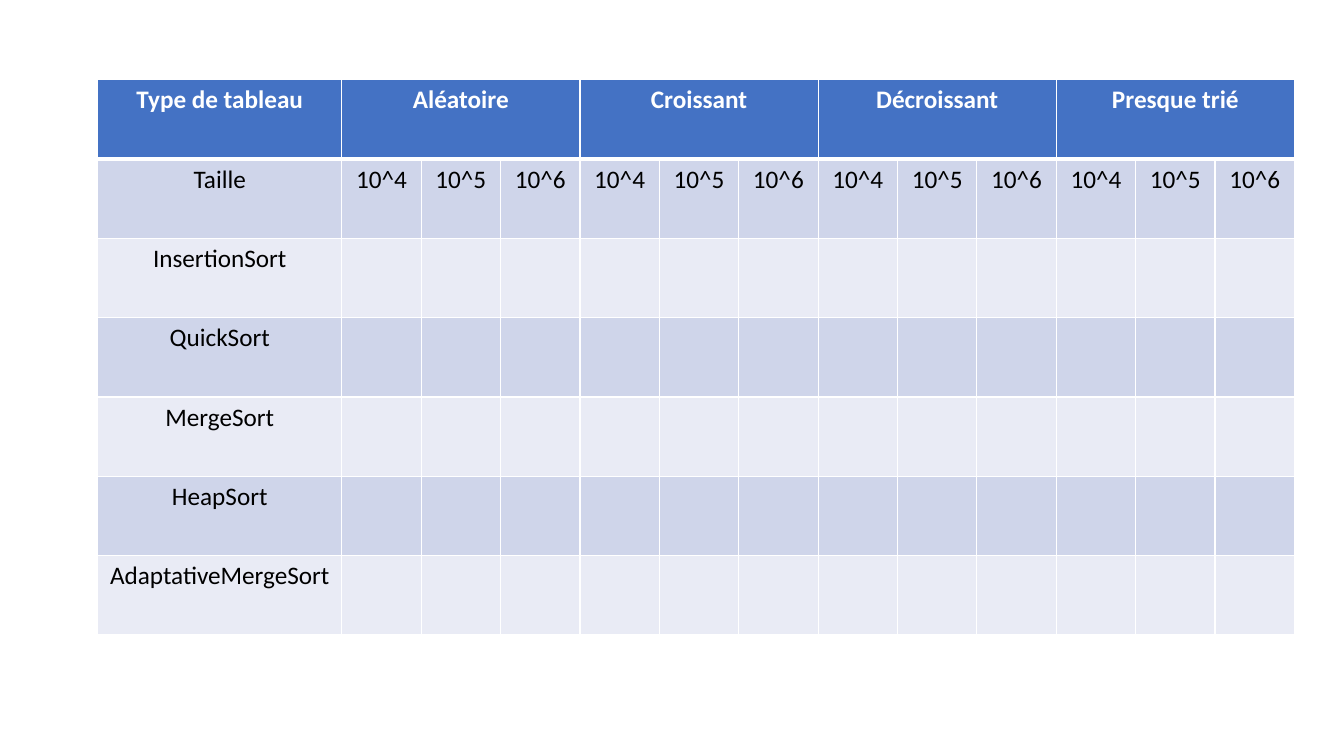
from dataclasses import dataclass

from pptx import Presentation
from pptx.dml.color import RGBColor
from pptx.enum.text import PP_ALIGN
from pptx.oxml.ns import qn
from pptx.table import _Cell
from pptx.util import Inches, Pt
from lxml.etree import SubElement

WHITE = RGBColor(0xFF, 0xFF, 0xFF)
BLACK = RGBColor(0x00, 0x00, 0x00)
BLUE = RGBColor(0x44, 0x72, 0xC4)
DARK_BAND = RGBColor(0xCF, 0xD5, 0xEA)
LIGHT_BAND = RGBColor(0xE9, 0xEB, 0xF5)

ORDERS = ["Aléatoire", "Croissant", "Décroissant", "Presque trié"]
SIZES = ["10^4", "10^5", "10^6"]
SORTS = ["InsertionSort", "QuickSort", "MergeSort", "HeapSort", "AdaptativeMergeSort"]

TABLE_WIDTH, TABLE_HEIGHT = Inches(11.87), Inches(5.51)
LABEL_WIDTH = Inches(2.42)


@dataclass(frozen=True)
class RowStyle:
    fill: RGBColor
    text: RGBColor = BLACK
    bold: bool = False
    bottom: float = 1
    top: float = 1


HEADER = RowStyle(BLUE, WHITE, bold=True, bottom=3)
SIZE_ROW = RowStyle(DARK_BAND, top=3)
BANDS = [RowStyle(LIGHT_BAND), RowStyle(DARK_BAND)]


def add_border(cell: _Cell, side: str, points: float) -> None:
    properties = cell._tc.get_or_add_tcPr()
    line = SubElement(properties, qn(f"a:ln{side}"), w=str(Pt(points)))
    fill = SubElement(line, qn("a:solidFill"))
    SubElement(fill, qn("a:srgbClr"), val=str(WHITE))


def fill_cell(cell: _Cell, text: str, style: RowStyle) -> None:
    # Borders come before the fill in the cell properties
    for side, points in (("L", 1), ("R", 1), ("T", style.top), ("B", style.bottom)):
        add_border(cell, side, points)
    cell.fill.solid()
    cell.fill.fore_color.rgb = style.fill
    cell.text = text
    para = cell.text_frame.paragraphs[0]
    para.alignment = PP_ALIGN.CENTER
    para.font.name = "Calibri"
    para.font.size = Pt(18)
    para.font.bold = style.bold
    para.font.color.rgb = style.text


deck = Presentation()
deck.slide_width, deck.slide_height = Inches(13.33), Inches(7.5)
page = deck.slides.add_slide(deck.slide_layouts[6])

# Table contents: two heading rows, then one row per sort
value_count = len(ORDERS) * len(SIZES)
header_texts = ["Type de tableau"]
for order in ORDERS:
    header_texts += [order] + [""] * (len(SIZES) - 1)
rows = [(header_texts, HEADER), (["Taille"] + SIZES * len(ORDERS), SIZE_ROW)]
for index, sort in enumerate(SORTS):
    rows.append(([sort] + [""] * value_count, BANDS[index % 2]))

# Table grid
table = page.shapes.add_table(
    len(rows), value_count + 1, Inches(0.97), Inches(0.79), TABLE_WIDTH, TABLE_HEIGHT
).table
for column in table.columns:
    column.width = (TABLE_WIDTH - LABEL_WIDTH) // value_count
table.columns[0].width = LABEL_WIDTH

for row, (texts, style) in enumerate(rows):
    for column, text in enumerate(texts):
        fill_cell(table.cell(row, column), text, style)

# Each order heading spans its sizes
for first in range(1, value_count + 1, len(SIZES)):
    table.cell(0, first).merge(table.cell(0, first + len(SIZES) - 1))

deck.save("out.pptx")
